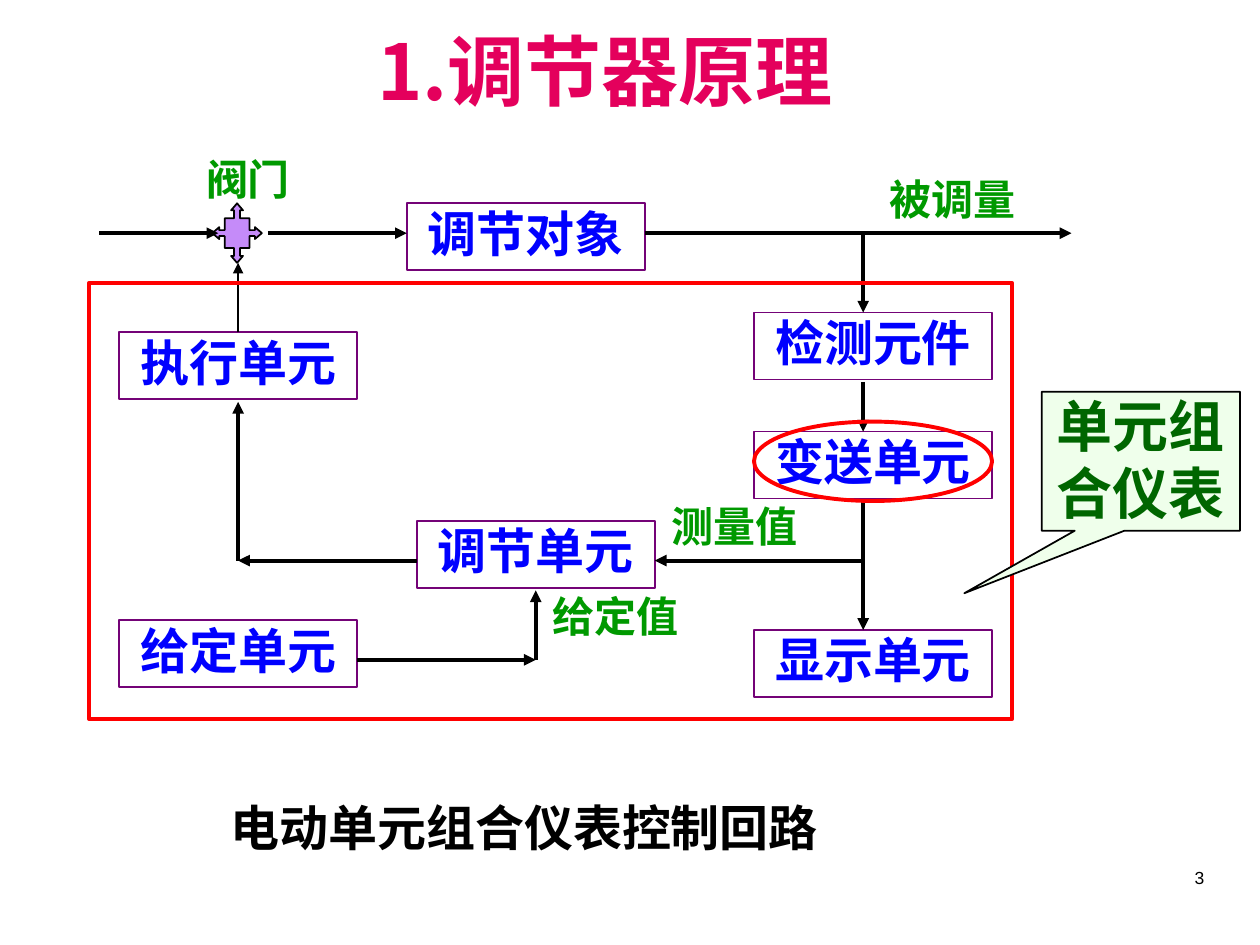
from lxml import etree
from pptx import Presentation
from pptx import util as u
from pptx.dml import color
from pptx.enum import shapes, text
from pptx.oxml import ns

CELL = u.Mm(2)
HEADING_FONT = "Noto Sans CJK SC"
BODY_FONT = "Karla"
CENTER = text.PP_ALIGN.CENTER


def rgb(value):
    return color.RGBColor.from_string(value)


def cells(box, x, y, *size):
    left, top = box[:2]
    return [u.Emu(round(n * CELL)) for n in (left + x, top + y, *size)]


def write(shape, words, size, hue, font=BODY_FONT, align=CENTER, bold=True,
          anchor=text.MSO_ANCHOR.TOP, top=0):
    frame = shape.text_frame
    frame.word_wrap = True
    frame.auto_size = text.MSO_AUTO_SIZE.NONE
    frame.vertical_anchor = anchor
    frame.margin_left = frame.margin_right = u.Inches(0.1)
    frame.margin_top, frame.margin_bottom = u.Inches(top), u.Inches(0.05)
    paragraph = frame.paragraphs[0]
    paragraph.text = words
    paragraph.alignment = align
    paragraph.font.name = font
    paragraph.font.size = u.Pt(size)
    paragraph.font.bold = bold
    paragraph.font.color.rgb = rgb(hue)
    return paragraph


def outline(slide, preset, place, line, width, fill=None):
    shape = slide.shapes.add_shape(preset, *place)
    shape.shadow.inherit = False
    shape.line.color.rgb = rgb(line)
    shape.line.width = u.Pt(width)
    if fill:
        shape.fill.solid()
        shape.fill.fore_color.rgb = rgb(fill)
    else:
        shape.fill.background()
    return shape


def arrow(slide, box, start, end, width=2.25):
    link = slide.shapes.add_connector(
        shapes.MSO_CONNECTOR.STRAIGHT, *cells(box, *start), *cells(box, *end))
    link.line.color.rgb = rgb("000000")
    link.line.width = u.Pt(width)
    line = link.line._get_or_add_ln()
    etree.SubElement(line, ns.qn("a:tailEnd"), type="triangle")
    etree.SubElement(link._element.spPr, ns.qn("a:effectLst"))


def add_title(slide, box):
    title = slide.shapes.title
    title.left, title.top, title.width, title.height = cells(box, 0, 0, *box[2:])
    write(title, "1.调节器原理", 44, "E4005C", HEADING_FONT, top=0.05)


def add_control_loop(slide, box):
    rect = shapes.MSO_SHAPE.RECTANGLE
    units = {
        "调节对象": (32, 5), "检测元件": (67, 16), "变送单元": (67, 28),
        "显示单元": (67, 48), "给定单元": (3, 47), "调节单元": (33, 37),
        "执行单元": (3, 18),
    }
    for name, (x, y) in units.items():
        unit = outline(slide, rect, cells(box, x, y, 24, 6.75), "740377", 1)
        write(unit, name, 28, "0000FF")

    valve_x, setpoint_x, sensor_x = 15, 45, 78
    process_y, control_y, setpoint_y = 8, 41, 51
    flows = [
        ((56, process_y), (99, process_y)),
        ((sensor_x, process_y), (sensor_x, 16)),
        ((sensor_x, 23), (sensor_x, 28)),
        ((sensor_x, 35), (sensor_x, 48)),
        ((sensor_x, control_y), (57, control_y)),
        ((27, setpoint_y), (setpoint_x, setpoint_y)),
        ((setpoint_x, setpoint_y), (setpoint_x, 44)),
        ((33, control_y), (valve_x, control_y)),
        ((valve_x, control_y), (valve_x, 25)),
    ]
    for start, end in flows:
        arrow(slide, box, start, end)

    valve = outline(slide, shapes.MSO_SHAPE.QUAD_ARROW_CALLOUT,
                    cells(box, 12.4, 5, 5, 6), "000000", 1, "C58BF9")
    for index, share in enumerate((0.12, 0.12, 0.14, 0.5)):
        valve.adjustments[index] = share
    arrow(slide, box, (valve_x, 18), (valve_x, 11), 1)
    arrow(slide, box, (18, process_y), (32, process_y))
    arrow(slide, box, (1, process_y), (13, process_y))

    signals = {"被调量": (78, 2), "测量值": (56, 35), "给定值": (44, 44), "阀门": (7, 0)}
    for name, (x, y) in signals.items():
        label = slide.shapes.add_textbox(*cells(box, x, y, 18, 5.75))
        write(label, name, 24, "009900")

    outline(slide, rect, cells(box, 0, 13, 93, 44), "FF0000", 2.25)
    callout = outline(slide, shapes.MSO_SHAPE.RECTANGULAR_CALLOUT,
                      cells(box, 96, 24, 20, 14), "000000", 1, "EFFFEB")
    callout.adjustments[0], callout.adjustments[1] = -0.89, 0.95
    write(callout, "单元组合仪表", 32, "006600", HEADING_FONT,
          anchor=text.MSO_ANCHOR.MIDDLE)
    outline(slide, shapes.MSO_SHAPE.OVAL, cells(box, 67, 27, 24, 8), "FF0000", 2.25)


def add_caption(slide, box):
    caption = slide.shapes.add_textbox(*cells(box, 0, 0, *box[2:]))
    paragraph = write(caption, "电动单元组合仪表控制回路", 28, "000000",
                      HEADING_FONT, text.PP_ALIGN.LEFT)
    paragraph.line_spacing = 1.3


def add_page_number(slide, box):
    number = slide.shapes.add_textbox(*cells(box, 0, 0, *box[2:]))
    write(number, "3", 10, "000000", "Arial", text.PP_ALIGN.RIGHT, False, top=0.05)


def main():
    deck = Presentation()
    deck.slide_width, deck.slide_height = u.Inches(10), u.Inches(7.5)
    slide = deck.slides.add_slide(deck.slide_layouts[5])
    add_title(slide, (27.5, 1.75, 67, 13.8))
    add_control_loop(slide, (9, 15.5))
    add_caption(slide, (22, 78.6, 75.6, 7.4))
    add_page_number(slide, (96.25, 86.75, 26.4, 6.3))
    deck.save("out.pptx")


if __name__ == "__main__":
    main()
